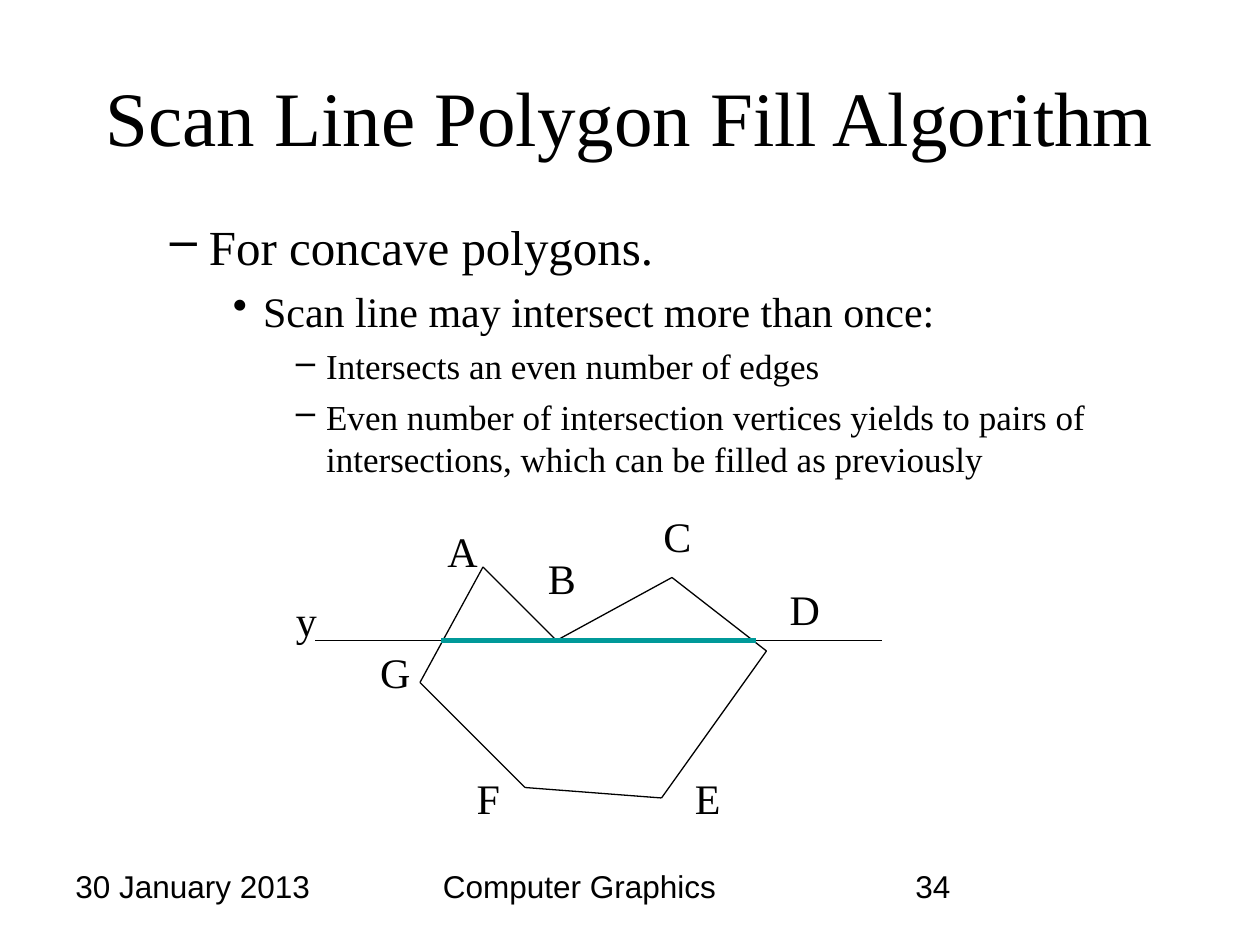
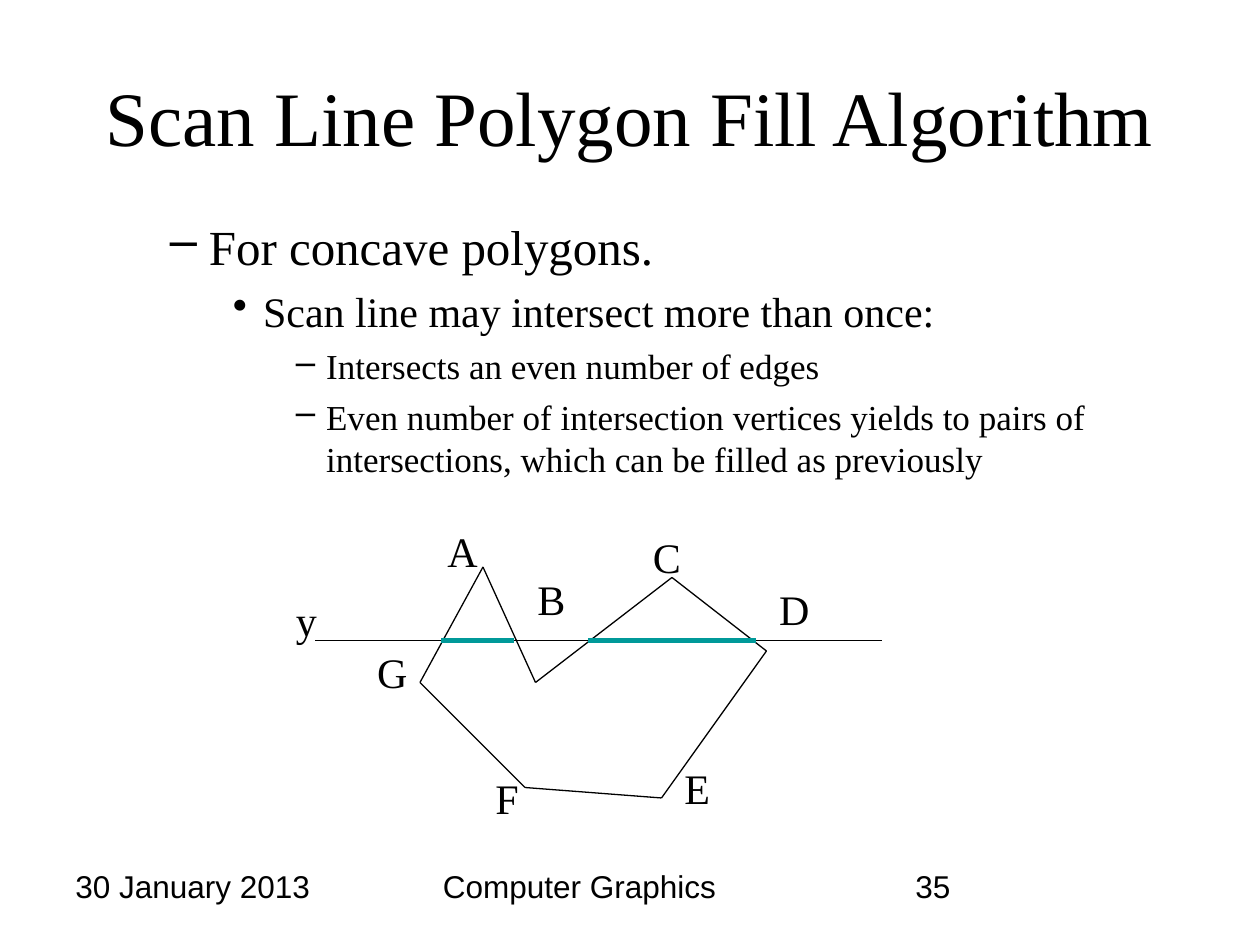
from dataclasses import dataclass, replace

import pptx
import pptx.dml.color
import pptx.enum.shapes
import pptx.enum.text
import pptx.oxml
import pptx.oxml.ns
import pptx.util

COLORS = {"ink": "000000", "span": "009999"}
SERIF, SANS = "Times New Roman", "Arial"
WIDTH, HEIGHT = pptx.util.Inches(10), pptx.util.Inches(7.5)
COLS, ROWS = 120, 90
SCAN_ROW, SCAN_LEFT, SCAN_RIGHT = 61, 30, 84
TITLE = "Scan Line Polygon Fill Algorithm"
ALIGN = pptx.enum.text.PP_ALIGN
Point = tuple[float, float]


@dataclass(frozen=True)
class Box:
    col: float
    row: float
    cols: float
    rows: float


@dataclass(frozen=True)
class Bullet:
    text: str
    level: int
    mark: str
    size: int
    indent: float
    hang: float
    before: int


@dataclass(frozen=True)
class Label:
    text: str
    col: float
    row: float
    cols: float


@dataclass(frozen=True)
class Footer:
    text: str
    col: float
    cols: float


@dataclass(frozen=True)
class Figure:
    number: int
    vertices: dict[str, Point]
    labels: list[Label]
    spans: list[Point]


TITLE_BOX = Box(6, 4, 108, 14)
BODY_BOX = Box(9, 20, 102, 58)
BULLETS = [
    Bullet("For concave polygons.", 1, "–", 28, 0.81, 0.31, 0),
    Bullet("Scan line may intersect more than once:", 2, "•", 24, 1.24, 0.24, 6),
    Bullet("Intersects an even number of edges", 3, "–", 20, 1.74, 0.24, 5),
    Bullet("Even number of intersection vertices yields to pairs of "
           "intersections, which can be filled as previously", 3, "–", 20, 1.74, 0.24, 5),
]
COMMON_LABELS = [Label("A", 41.4, 49.5, 5.3), Label("y", 27, 56, 4.3)]
TOUCHING = Figure(
    34,
    {"A": (46, 54), "B": (53, 61), "C": (64, 55), "D": (73, 62),
     "E": (63, 76), "F": (50, 75), "G": (40, 65)},
    [Label("B", 51, 52, 5), Label("C", 62, 48, 5), Label("D", 74, 55, 5.3),
     Label("E", 65, 73, 4.8), Label("F", 44.2, 73, 4.6), Label("G", 35, 61, 5.3)],
    [(42, 72)],
)
CROSSING = replace(
    TOUCHING,
    number=35,
    vertices=TOUCHING.vertices | {"B": (51, 65)},
    labels=[Label("B", 50, 54, 5), Label("C", 61, 50, 5), Label("D", 73, 55, 5.3),
            Label("E", 64, 72, 4.8), Label("F", 46, 73, 4.6), Label("G", 34.7, 61, 5.3)],
    spans=[(42, 49), (56, 72)],
)


def x(col: float) -> int:
    return round(WIDTH * col / COLS)


def y(row: float) -> int:
    return round(HEIGHT * row / ROWS)


def rgb(name: str) -> pptx.dml.color.RGBColor:
    return pptx.dml.color.RGBColor.from_string(COLORS[name])


def place(sp, box: Box) -> None:
    sp.left, sp.top = x(box.col), y(box.row)
    sp.width, sp.height = x(box.cols), y(box.rows)


def style(p, size: int, font: str = SERIF, align=ALIGN.LEFT) -> None:
    p.alignment = align
    for r in p.runs:
        r.font.size = pptx.util.Pt(size)
        r.font.name = font
        r.font.color.rgb = rgb("ink")


def add_text(s, box: Box, wrap: bool = True):
    sp = s.shapes.add_textbox(x(box.col), y(box.row), x(box.cols), y(box.rows))
    sp.text_frame.word_wrap = wrap
    return sp.text_frame


def add_title(s) -> None:
    sp = s.shapes.title
    place(sp, TITLE_BOX)
    tf = sp.text_frame
    tf.text = TITLE
    tf.auto_size = pptx.enum.text.MSO_AUTO_SIZE.NONE
    tf.vertical_anchor = pptx.enum.text.MSO_ANCHOR.MIDDLE
    style(tf.paragraphs[0], 44, align=ALIGN.CENTER)


def add_bullets(s) -> None:
    tf = add_text(s, BODY_BOX)
    for i, bullet in enumerate(BULLETS):
        p = tf.add_paragraph() if i else tf.paragraphs[0]
        p.text = bullet.text
        p.level = bullet.level
        p.space_before = pptx.util.Pt(bullet.before)
        props = p._p.get_or_add_pPr()
        props.set("marL", str(pptx.util.Inches(bullet.indent)))
        props.set("indent", str(-pptx.util.Inches(bullet.hang)))
        mark = pptx.oxml.parse_xml(
            f'<a:buChar {pptx.oxml.ns.nsdecls("a")} char="{bullet.mark}"/>')
        props.append(mark)
        style(p, bullet.size)


def add_footers(s, number: int) -> None:
    for footer in (Footer("30 January 2013", 6, 28),
                   Footer("Computer Graphics", 41, 38),
                   Footer(str(number), 86, 28)):
        tf = add_text(s, Box(footer.col, 82, footer.cols, 6.1))
        tf.text = footer.text
        style(tf.paragraphs[0], 18, SANS)


def add_label(s, label: Label) -> None:
    tf = add_text(s, Box(label.col, label.row, label.cols, 6), wrap=False)
    tf.text = label.text
    tf.auto_size = pptx.enum.text.MSO_AUTO_SIZE.SHAPE_TO_FIT_TEXT
    style(tf.paragraphs[0], 24, align=ALIGN.CENTER)


def add_line(s, start: Point, end: Point, width: float, color: str = "ink") -> None:
    line = s.shapes.add_connector(
        pptx.enum.shapes.MSO_CONNECTOR.STRAIGHT,
        x(start[0]), y(start[1]), x(end[0]), y(end[1]))
    line.line.color.rgb = rgb(color)
    line.line.width = pptx.util.Pt(width)
    line._element.spPr.append(
        pptx.oxml.parse_xml(f'<a:effectLst {pptx.oxml.ns.nsdecls("a")}/>'))


def add_figure(s, figure: Figure) -> None:
    add_line(s, (SCAN_LEFT, SCAN_ROW), (SCAN_RIGHT, SCAN_ROW), 1)
    points = list(figure.vertices.values())
    for start, end in zip(points, points[1:] + points[:1]):
        add_line(s, start, end, 0.75)
    for left, right in figure.spans:
        add_line(s, (left, SCAN_ROW), (right, SCAN_ROW), 3, "span")
    for label in COMMON_LABELS + figure.labels:
        add_label(s, label)


def main() -> None:
    prs = pptx.Presentation()
    prs.slide_width, prs.slide_height = WIDTH, HEIGHT
    for figure in (TOUCHING, CROSSING):
        s = prs.slides.add_slide(prs.slide_layouts.get_by_name("Title Only"))
        add_title(s)
        add_bullets(s)
        add_footers(s, figure.number)
        add_figure(s, figure)
    prs.save("out.pptx")


if __name__ == "__main__":
    main()
